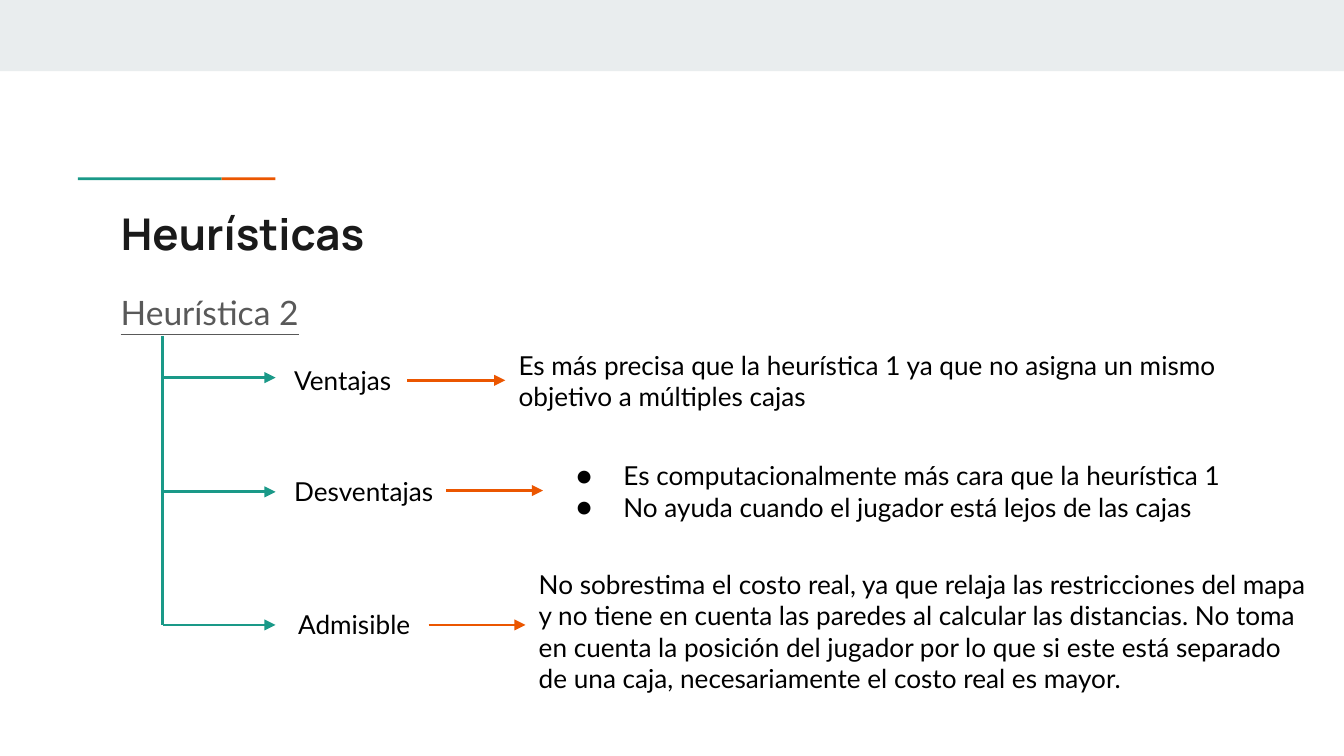
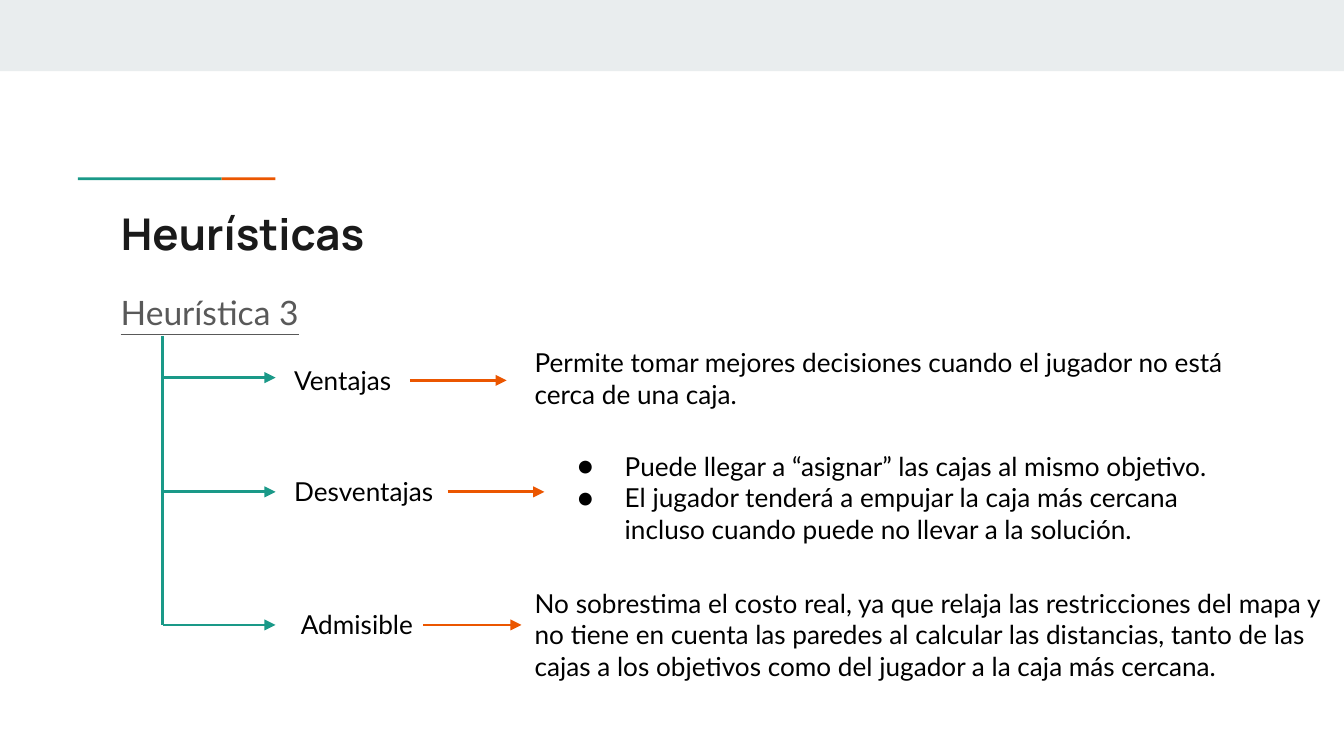
from pptx import Presentation
from pptx import util as u
from pptx.dml.color import RGBColor
from pptx.enum import shapes, text
from pptx.oxml.ns import qn
from lxml import etree

PX = 9144  # EMU per px, 100 px to the inch
COLORS = {
    "band": "E9EDEE", "teal": "1A9988", "orange": "EB5600",
    "title": "1A1A1A", "heading": "595959", "body": "000000",
}
TITLE_FONT, BODY_FONT = "Manrope", "Lato"
BODY_SIZE = 14
TRUNK_X, TRUNK_TOP, BRANCH_END = 121, 250, 205
BRANCH_YS = (281, 366, 465)

# Each row: label and its box, arrow (start, end, y), detail box, detail paragraphs
SLIDES = [
    ("Heurística 2", [
        ("Ventajas", (209, 261, 205, 44), (303, 376, 283), (376, 250, 591, 67),
         ["Es más precisa que la heurística 1 ya que no asigna un mismo "
          "objetivo a múltiples cajas"]),
        ("Desventajas", (209, 344, 133, 44), (332, 404, 365), (404, 332, 533, 67),
         ["Es computacionalmente más cara que la heurística 1",
          "No ayuda cuando el jugador está lejos de las cajas"]),
        ("Admisible", (212, 443, 133, 44), (319, 391, 465), (391, 413, 598, 138),
         ["No sobrestima el costo real, ya que relaja las restricciones del mapa "
          "y no tiene en cuenta las paredes al calcular las distancias. No toma "
          "en cuenta la posición del jugador por lo que si este está separado "
          "de una caja, necesariamente el costo real es mayor."]),
    ]),
    ("Heurística 3", [
        ("Ventajas", (209, 261, 205, 44), (305, 377, 283), (388, 248, 544, 67),
         ["Permite tomar mejores decisiones cuando el jugador no está "
          "cerca de una caja."]),
        ("Desventajas", (209, 344, 133, 44), (333, 405, 366), (405, 325, 521, 91),
         ["Puede llegar a “asignar” las cajas al mismo objetivo.",
          "El jugador tenderá a empujar la caja más cercana "
          "incluso cuando puede no llevar a la solución."]),
        ("Admisible", (214, 443, 133, 44), (315, 388, 465), (388, 427, 613, 91),
         ["No sobrestima el costo real, ya que relaja las restricciones del mapa y "
          "no tiene en cuenta las paredes al calcular las distancias, tanto de las "
          "cajas a los objetivos como del jugador a la caja más cercana."]),
    ]),
]


def px(*values):
    return [u.Emu(value * PX) for value in values]


def color(name):
    return RGBColor.from_string(COLORS[name])


def add_bar(slide, box, fill):
    shape = slide.shapes.add_shape(shapes.MSO_SHAPE.RECTANGLE, *px(*box))
    shape.shadow.inherit = False
    shape.fill.solid()
    shape.fill.fore_color.rgb = color(fill)
    shape.line.fill.background()


def add_line(slide, start, end, stroke, arrow=True):
    line = slide.shapes.add_connector(
        shapes.MSO_CONNECTOR.STRAIGHT, *px(*start, *end))
    line.line.color.rgb = color(stroke)
    line.line.width = u.Pt(1.5)
    if arrow:
        outline = line._element.spPr.find(qn("a:ln"))
        etree.SubElement(outline, qn("a:tailEnd"), type="triangle")
    etree.SubElement(line._element.spPr, qn("a:effectLst"))


def add_bullet(paragraph):
    properties = paragraph._p.get_or_add_pPr()
    properties.set("marL", str(50 * PX))
    properties.set("indent", str(-35 * PX))
    bullet_color = etree.Element(qn("a:buClr"))
    etree.SubElement(bullet_color, qn("a:srgbClr"), val=COLORS["body"])
    # Bullet parts go ahead of the paragraph's font properties
    properties[0:0] = [
        bullet_color,
        etree.Element(qn("a:buSzPts"), val=str(BODY_SIZE * 100)),
        etree.Element(qn("a:buFont"), typeface=BODY_FONT),
        etree.Element(qn("a:buChar"), char="●"),
    ]


def format_frame(frame, paragraphs, font, size, ink, bold=False):
    frame.word_wrap = True
    frame.vertical_anchor = text.MSO_ANCHOR.TOP
    frame.margin_left, frame.margin_top, frame.margin_right, frame.margin_bottom = px(
        10, 10, 10, 10)
    for index, words in enumerate(paragraphs):
        paragraph = frame.add_paragraph() if index else frame.paragraphs[0]
        paragraph.text = words
        paragraph.alignment = text.PP_ALIGN.LEFT
        paragraph.font.name = font
        paragraph.font.size = u.Pt(size)
        paragraph.font.bold = bold
        paragraph.font.color.rgb = color(ink)


def add_text(slide, box, paragraphs, size=BODY_SIZE, ink="body"):
    frame = slide.shapes.add_textbox(*px(*box)).text_frame
    format_frame(frame, paragraphs, BODY_FONT, size, ink)
    frame.auto_size = text.MSO_AUTO_SIZE.SHAPE_TO_FIT_TEXT
    return frame


def add_title(slide, words):
    title = slide.shapes.title
    title.left, title.top, title.width, title.height = px(80, 144, 841, 59)
    format_frame(title.text_frame, [words], TITLE_FONT, 23.4, "title", bold=True)
    title.text_frame.auto_size = text.MSO_AUTO_SIZE.NONE


def add_heading(slide, words):
    frame = add_text(slide, (80, 203, 164, 47), [words], 18, "heading")
    frame.auto_size = text.MSO_AUTO_SIZE.NONE
    paragraph = frame.paragraphs[0]
    paragraph.font.underline = True
    paragraph.line_spacing = 1.15
    paragraph.space_after = u.Pt(12)


def add_frame(slide):
    # Top band and two-colour rule above the title
    add_bar(slide, (0, 0, 1000, 53), "band")
    add_bar(slide, (58, 132, 107, 2), "teal")
    add_bar(slide, (165, 132, 40, 2), "orange")
    add_title(slide, "Heurísticas")


def add_tree(slide):
    # Trunk under the heading with one branch per row
    add_line(slide, (TRUNK_X, TRUNK_TOP), (TRUNK_X, BRANCH_YS[-1]), "teal", arrow=False)
    for y in BRANCH_YS:
        add_line(slide, (TRUNK_X, y), (BRANCH_END, y), "teal")


def add_row(slide, label, label_box, arrow, detail_box, details):
    add_text(slide, label_box, [label])
    start, end, y = arrow
    add_line(slide, (start, y), (end, y), "orange")
    frame = add_text(slide, detail_box, details)
    if len(details) > 1:
        for paragraph in frame.paragraphs:
            add_bullet(paragraph)


def main():
    presentation = Presentation()
    presentation.slide_width = u.Emu(1000 * PX)
    presentation.slide_height = u.Emu(1000 * PX * 9 // 16)
    title_only = presentation.slide_layouts[5]
    for heading, rows in SLIDES:
        slide = presentation.slides.add_slide(title_only)
        add_frame(slide)
        add_heading(slide, heading)
        add_tree(slide)
        for row in rows:
            add_row(slide, *row)
    presentation.save("out.pptx")


if __name__ == "__main__":
    main()
